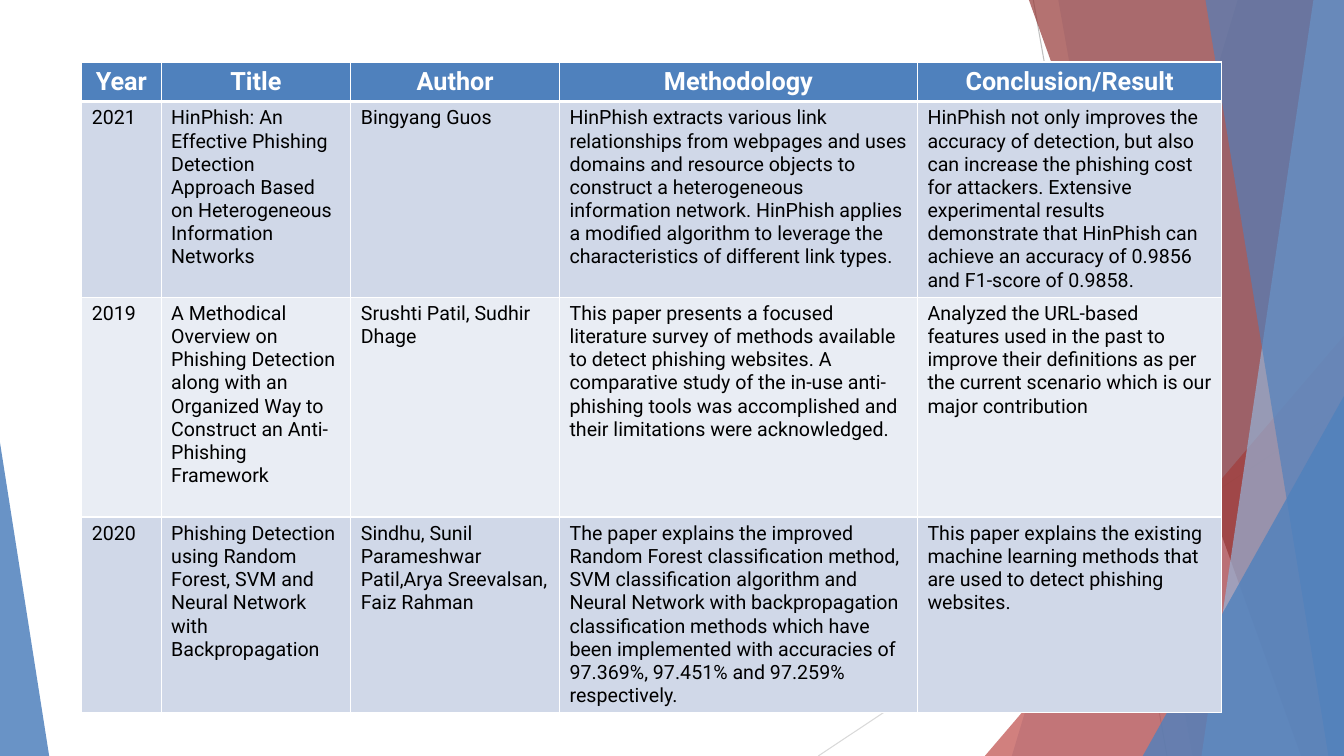
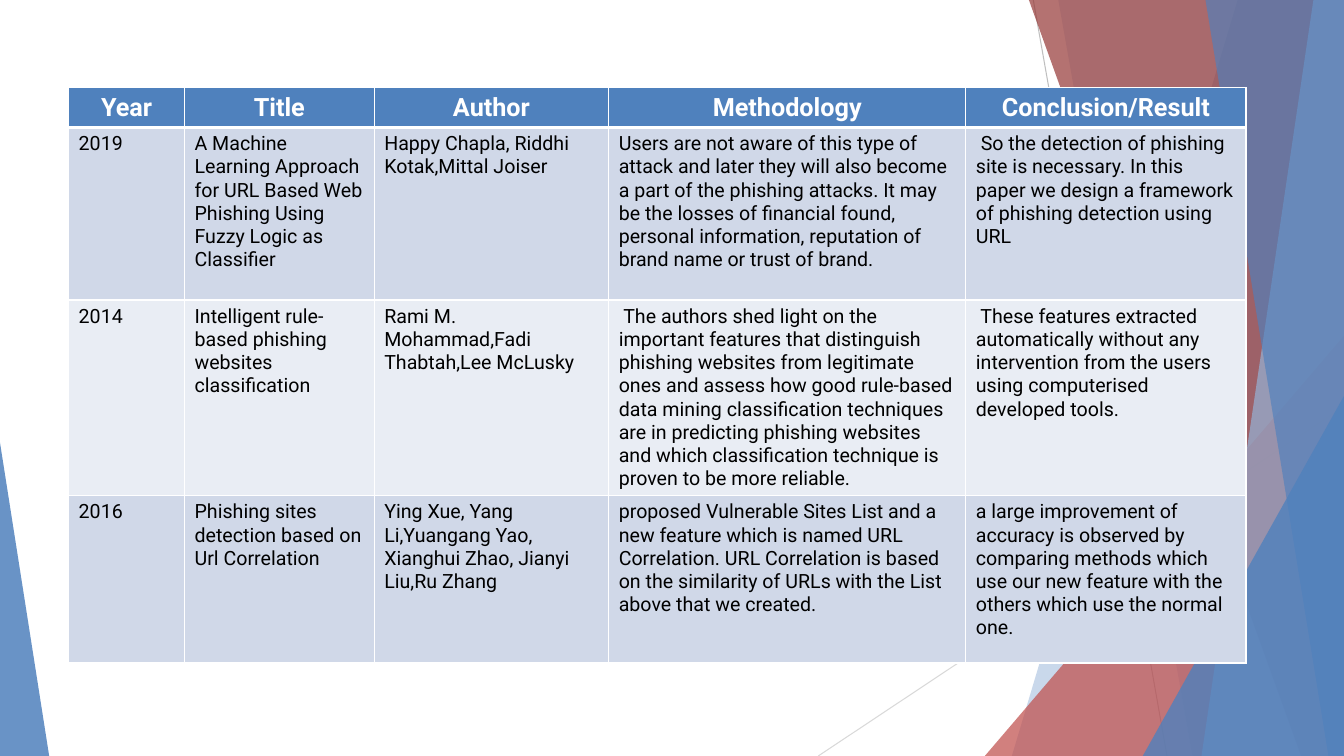
from pptx import Presentation
from pptx.dml.color import RGBColor
from pptx.enum.shapes import MSO_CONNECTOR, MSO_SHAPE
from pptx.enum.text import PP_ALIGN
from pptx.oxml.ns import qn
from pptx.util import Cm, Pt
from lxml.etree import SubElement

SLIDE_WIDTH, SLIDE_HEIGHT = Cm(33.87), Cm(19.05)
WHITE = RGBColor(0xFF, 0xFF, 0xFF)
BLACK = RGBColor(0x00, 0x00, 0x00)
BLUE = RGBColor(0x4F, 0x81, 0xBD)
PALE_BLUE = RGBColor(0x95, 0xB3, 0xD7)
RED = RGBColor(0xC0, 0x50, 0x4D)
DARK_RED = RGBColor(0x95, 0x37, 0x35)
GREY = RGBColor(0xBF, 0xBF, 0xBF)
LIGHT_GREY = RGBColor(0xD9, 0xD9, 0xD9)
ROW_FILLS = (RGBColor(0xD0, 0xD8, 0xE8), RGBColor(0xE9, 0xED, 0xF4))

HEADER_FONT = {"name": "Roboto", "size": Pt(18), "bold": True}
BODY_FONT = {"name": "Roboto", "size": Pt(14), "bold": False}
HEADINGS = ("Year", "Title", "Author", "Methodology", "Conclusion/Result")

RAYS = (
    (26.04, 0, 29.41, 19.05, GREY),
    (33.87, 10.24, 20.62, 19.05, LIGHT_GREY),
)
FACETS = (
    ("band", 31.19, 25.5, BLUE, 30),
    ("band", 26.67, 30.05, BLUE, 20),
    ("triangle", 24.82, 8.46, 9.05, 1, RED, 72),
    ("band", 25.93, 32.79, DARK_RED, 70),
    ("band", 33.1, 30.28, PALE_BLUE, 70),
    ("band", 30.38, 33.48, BLUE, 65),
    ("triangle", 28.8, 9.98, 5.07, 1, BLUE, 80),
    ("triangle", 0, 11.15, 1.24, 0, BLUE, 85),
)

SURVEYS = (
    {
        "left": 2.06,
        "top": 1.56,
        "columns": (2, 4.78, 5.26, 9.02, 7.67),
        "rows": (1, 4.92, 5.54, 4.92),
        "papers": (
            ("2021",
             "HinPhish: An Effective Phishing Detection Approach Based on Heterogeneous Information Networks",
             "Bingyang Guos",
             "HinPhish extracts various link relationships from webpages and uses domains and resource objects "
             "to construct a heterogeneous information network. HinPhish applies a modified algorithm to "
             "leverage the characteristics of different link types.",
             "HinPhish not only improves the accuracy of detection, but also can increase the phishing cost "
             "for attackers. Extensive experimental results demonstrate that HinPhish can achieve an accuracy "
             "of 0.9856 and F1-score of 0.9858."),
            ("2019",
             "A Methodical Overview on Phishing Detection along with an Organized Way to Construct an "
             "Anti-Phishing Framework",
             "Srushti Patil, Sudhir Dhage",
             "This paper presents a focused literature survey of methods available to detect phishing "
             "websites. A comparative study of the in-use anti-phishing tools was accomplished and their "
             "limitations were acknowledged.",
             "Analyzed the URL-based features used in the past to improve their definitions as per the "
             "current scenario which is our major contribution"),
            ("2020",
             "Phishing Detection using Random Forest, SVM and Neural Network with Backpropagation",
             "Sindhu, Sunil Parameshwar Patil,Arya Sreevalsan, Faiz Rahman",
             "The paper explains the improved Random Forest classification method, SVM classification "
             "algorithm and Neural Network with backpropagation classification methods which have been "
             "implemented with accuracies of 97.369%, 97.451% and 97.259% respectively.",
             "This paper explains the existing machine learning methods that are used to detect phishing "
             "websites."),
        ),
    },
    {
        "left": 1.73,
        "top": 2.21,
        "columns": (2.92, 4.78, 5.91, 9, 7.06),
        "rows": (1, 4.35, 4.92, 4.22),
        "papers": (
            ("2019",
             "A Machine Learning Approach for URL Based Web Phishing Using Fuzzy Logic as Classifier",
             "Happy Chapla, Riddhi Kotak,Mittal Joiser",
             "Users are not aware of this type of attack and later they will also become a part of the "
             "phishing attacks. It may be the losses of financial found, personal information, reputation of "
             "brand name or trust of brand.",
             " So the detection of phishing site is necessary. In this paper we design a framework of "
             "phishing detection using URL"),
            ("2014",
             "Intelligent rule-based phishing websites classification",
             "Rami M. Mohammad,Fadi Thabtah,Lee McLusky",
             " The authors shed light on the important features that distinguish phishing websites from "
             "legitimate ones and assess how good rule-based data mining classification techniques are in "
             "predicting phishing websites and which classification technique is proven to be more reliable.",
             " These features extracted automatically without any intervention from the users using "
             "computerised developed tools."),
            ("2016",
             "Phishing sites detection based on Url Correlation",
             "Ying Xue, Yang Li,Yuangang Yao, Xianghui Zhao, Jianyi Liu,Ru Zhang",
             "proposed Vulnerable Sites List and a new feature which is named URL Correlation. URL "
             "Correlation is based on the similarity of URLs with the List above that we created.",
             "a large improvement of accuracy is observed by comparing methods which use our new feature "
             "with the others which use the normal one."),
        ),
    },
)


def apply_format(target, values):
    for name, value in values.items():
        setattr(target, name, value)


def add_ray(slide, start_x, start_y, end_x, end_y, color):
    connector = slide.shapes.add_connector(
        MSO_CONNECTOR.STRAIGHT, Cm(start_x), Cm(start_y), Cm(end_x), Cm(end_y))
    connector.line.width = Pt(0.75)
    connector.line.color.rgb = color
    SubElement(connector.element.spPr, qn("a:effectLst"))


def paint_facet(shape, color, opacity):
    shape.shadow.inherit = False
    shape.line.fill.background()
    shape.fill.solid()
    shape.fill.fore_color.rgb = color
    color_element = shape.element.spPr.find(qn("a:solidFill")).find(qn("a:srgbClr"))
    SubElement(color_element, qn("a:alpha")).set("val", str(opacity * 1000))


def add_band(slide, top_x, bottom_x, color, opacity):
    builder = slide.shapes.build_freeform(Cm(top_x), 0)
    builder.add_line_segments(
        [(SLIDE_WIDTH, 0), (SLIDE_WIDTH, SLIDE_HEIGHT), (Cm(bottom_x), SLIDE_HEIGHT)])
    paint_facet(builder.convert_to_shape(), color, opacity)


def add_triangle(slide, left, top, width, apex, color, opacity):
    triangle = slide.shapes.add_shape(
        MSO_SHAPE.ISOSCELES_TRIANGLE, Cm(left), Cm(top), Cm(width), SLIDE_HEIGHT - Cm(top))
    triangle.adjustments[0] = apex
    paint_facet(triangle, color, opacity)


def add_backdrop(slide):
    for ray in RAYS:
        add_ray(slide, *ray)
    builders = {"band": add_band, "triangle": add_triangle}
    for kind, *values in FACETS:
        builders[kind](slide, *values)


def set_borders(cell, widths):
    properties = cell._tc.get_or_add_tcPr()
    for side, width in widths.items():
        border = SubElement(properties, qn(f"a:ln{side}"), w=str(Pt(width)))
        fill = SubElement(border, qn("a:solidFill"))
        SubElement(fill, qn("a:srgbClr"), val=str(WHITE))


def fill_cell(cell, text, row):
    is_header = row == 0
    set_borders(cell, {"L": 1, "R": 1, "T": 3 if row == 1 else 1, "B": 3 if is_header else 1})
    cell.fill.solid()
    cell.fill.fore_color.rgb = BLUE if is_header else ROW_FILLS[(row - 1) % 2]
    paragraph = cell.text_frame.paragraphs[0]
    paragraph.alignment = PP_ALIGN.CENTER if is_header else PP_ALIGN.LEFT
    run = paragraph.add_run()
    run.text = text
    apply_format(run.font, HEADER_FONT if is_header else BODY_FONT)
    run.font.color.rgb = WHITE if is_header else BLACK


def add_survey_table(slide, left, top, columns, rows, papers):
    table = slide.shapes.add_table(
        len(rows), len(columns), Cm(left), Cm(top), Cm(sum(columns)), Cm(sum(rows))).table
    for column, width in zip(table.columns, columns):
        column.width = Cm(width)
    for row, height in zip(table.rows, rows):
        row.height = Cm(height)
    for row, texts in enumerate((HEADINGS, *papers)):
        for column, text in enumerate(texts):
            fill_cell(table.cell(row, column), text, row)


def add_survey_slide(presentation, survey):
    slide = presentation.slides.add_slide(presentation.slide_layouts[6])
    add_backdrop(slide)
    add_survey_table(slide, **survey)


def main():
    presentation = Presentation()
    apply_format(presentation, {"slide_width": SLIDE_WIDTH, "slide_height": SLIDE_HEIGHT})
    for survey in SURVEYS:
        add_survey_slide(presentation, survey)
    presentation.save("out.pptx")


if __name__ == "__main__":
    main()
